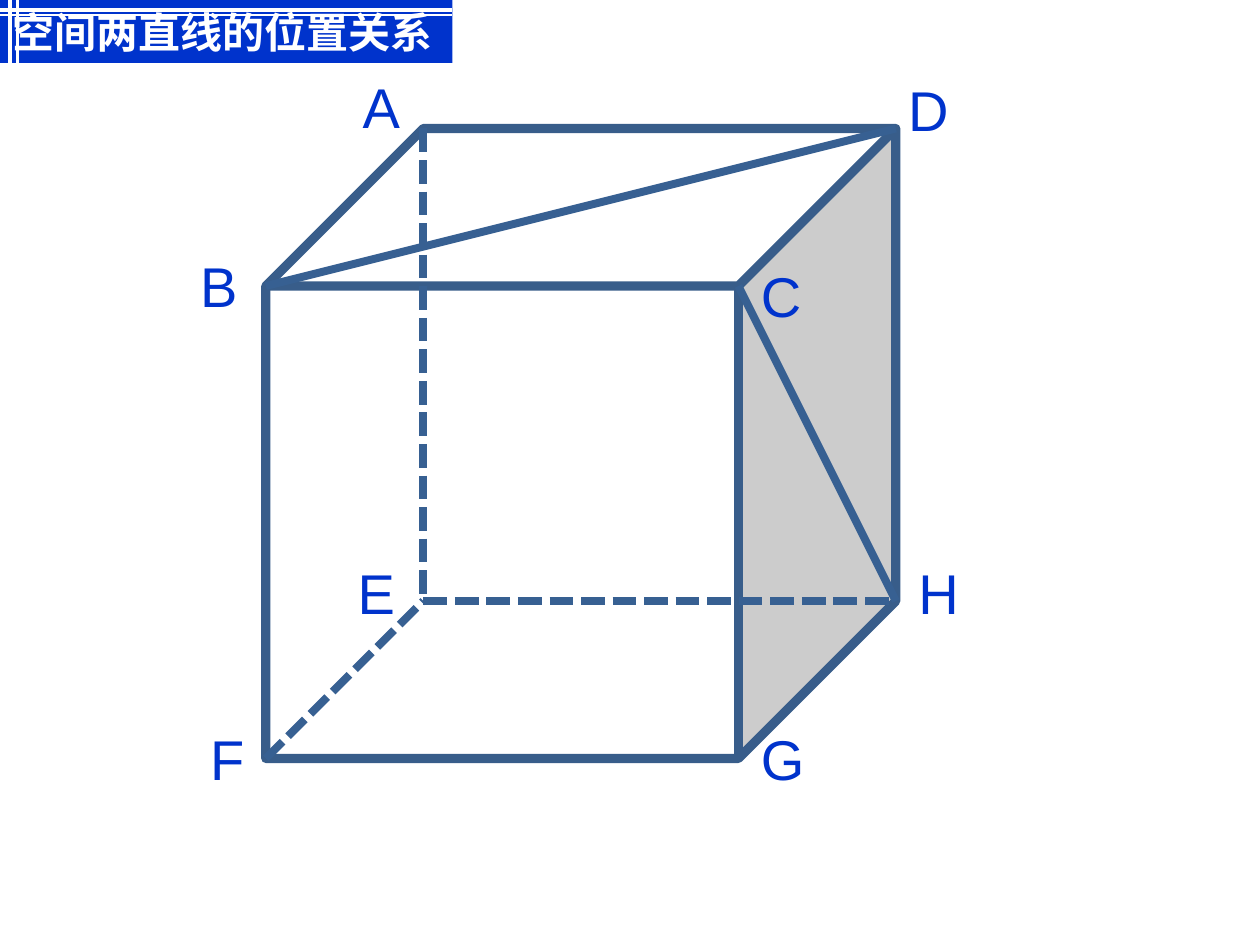
from lxml import etree
from pptx import Presentation
from pptx.dml.color import RGBColor
from pptx.enum.dml import MSO_LINE
from pptx.enum.shapes import MSO_CONNECTOR, MSO_SHAPE
from pptx.enum.text import MSO_ANCHOR, PP_ALIGN
from pptx.oxml.ns import qn
from pptx.util import Inches, Pt

STRAIGHT = MSO_CONNECTOR.STRAIGHT
CUBE, RECTANGLE = MSO_SHAPE.CUBE, MSO_SHAPE.RECTANGLE
DASHED = MSO_LINE.SQUARE_DOT  # written to the file as sysDash
MIDDLE, LEFT = MSO_ANCHOR.MIDDLE, PP_ALIGN.LEFT
COLORS = {name: RGBColor.from_string(value) for name, value in {
    "blue": "0033CC", "white": "FFFFFF", "outline": "385D8A", "edge": "376092",
}.items()}

prs = Presentation()
prs.slide_width, prs.slide_height = Inches(10), Inches(7.5)
slide = prs.slides.add_slide(prs.slide_layouts[6])


def add_line(start, end, color, width, dash=None):
    line = slide.shapes.add_connector(
        STRAIGHT, *(Inches(v) for v in (*start, *end)))
    line.line.color.rgb = COLORS[color]
    line.line.width = Pt(width)
    if dash:
        line.line.dash_style = dash
    etree.SubElement(line._element.spPr, qn("a:effectLst"))


def add_run(paragraph, text, size, font, color, bold=False):
    run = paragraph.add_run()
    run.text = text
    run.font.size, run.font.bold = Pt(size), bold
    run.font.name = font
    run.font.color.rgb = COLORS[color]
    if not text.isascii():
        etree.SubElement(run._r.get_or_add_rPr(), qn("a:ea"), typeface=font)


# Cube: the depth is a quarter of the whole size
size = 5
depth = size / 4
front_left, back_top = 2.11, 1.02
back_left, front_top = front_left + depth, back_top + depth
front_right, back_right = front_left + size - depth, front_left + size
back_bottom, front_bottom = back_top + size - depth, back_top + size
vertices = {
    "A": (back_left, back_top), "B": (front_left, front_top),
    "C": (front_right, front_top), "D": (back_right, back_top),
    "E": (back_left, back_bottom), "F": (front_left, front_bottom),
    "G": (front_right, front_bottom), "H": (back_right, back_bottom),
}

cube = slide.shapes.add_shape(CUBE, Inches(front_left), Inches(back_top),
                              Inches(size), Inches(size))
cube.adjustments[0] = depth / size
cube.shadow.inherit = False
cube.fill.solid()
cube.fill.fore_color.rgb = COLORS["white"]
cube.line.color.rgb = COLORS["outline"]
cube.line.width = Pt(5.25)

for hidden_edge in ("AE", "EH", "FE"):
    add_line(*(vertices[v] for v in hidden_edge), "edge", 4.5, DASHED)
for diagonal in ("BD", "CH"):
    add_line(*(vertices[v] for v in diagonal), "edge", 4.5)

# Vertex letters: offset from the vertex, then box width
label_places = {
    "A": (-0.58, -0.49, 0.49), "B": (-0.62, -0.32, 0.49),
    "C": (0.08, -0.24, 0.52), "D": (0, -0.47, 0.52),
    "E": (-0.62, -0.39, 0.49), "F": (-0.54, -0.32, 0.47),
    "G": (0.08, -0.32, 0.54), "H": (0.08, -0.39, 0.52),
}
for letter, (dx, dy, width) in label_places.items():
    x, y = vertices[letter]
    label = slide.shapes.add_textbox(Inches(x + dx), Inches(y + dy),
                                     Inches(width), Inches(0.64))
    label.text_frame.word_wrap = False
    add_run(label.text_frame.paragraphs[0], letter, 32, "Arial", "blue")

# Title banner with crossing white rules
banner_width, banner_height = 3.59, 0.5
banner = slide.shapes.add_shape(RECTANGLE, 0, 0, Inches(banner_width),
                                Inches(banner_height))
banner.shadow.inherit = False
banner.fill.solid()
banner.fill.fore_color.rgb = COLORS["blue"]
banner.line.fill.background()
banner.text_frame.word_wrap = True
banner.text_frame.vertical_anchor = MIDDLE
title = banner.text_frame.paragraphs[0]
title.alignment = LEFT
add_run(title, "空间两直线的位置关系", 24, "Noto Sans CJK JP", "white", bold=True)

for across, down, weight in ((0.08, 0.08, 2.25), (0.14, 0.12, 1.5)):
    add_line((0, down), (banner_width, down), "white", weight)
    add_line((across, 0), (across, banner_height), "white", weight)

prs.save("out.pptx")
